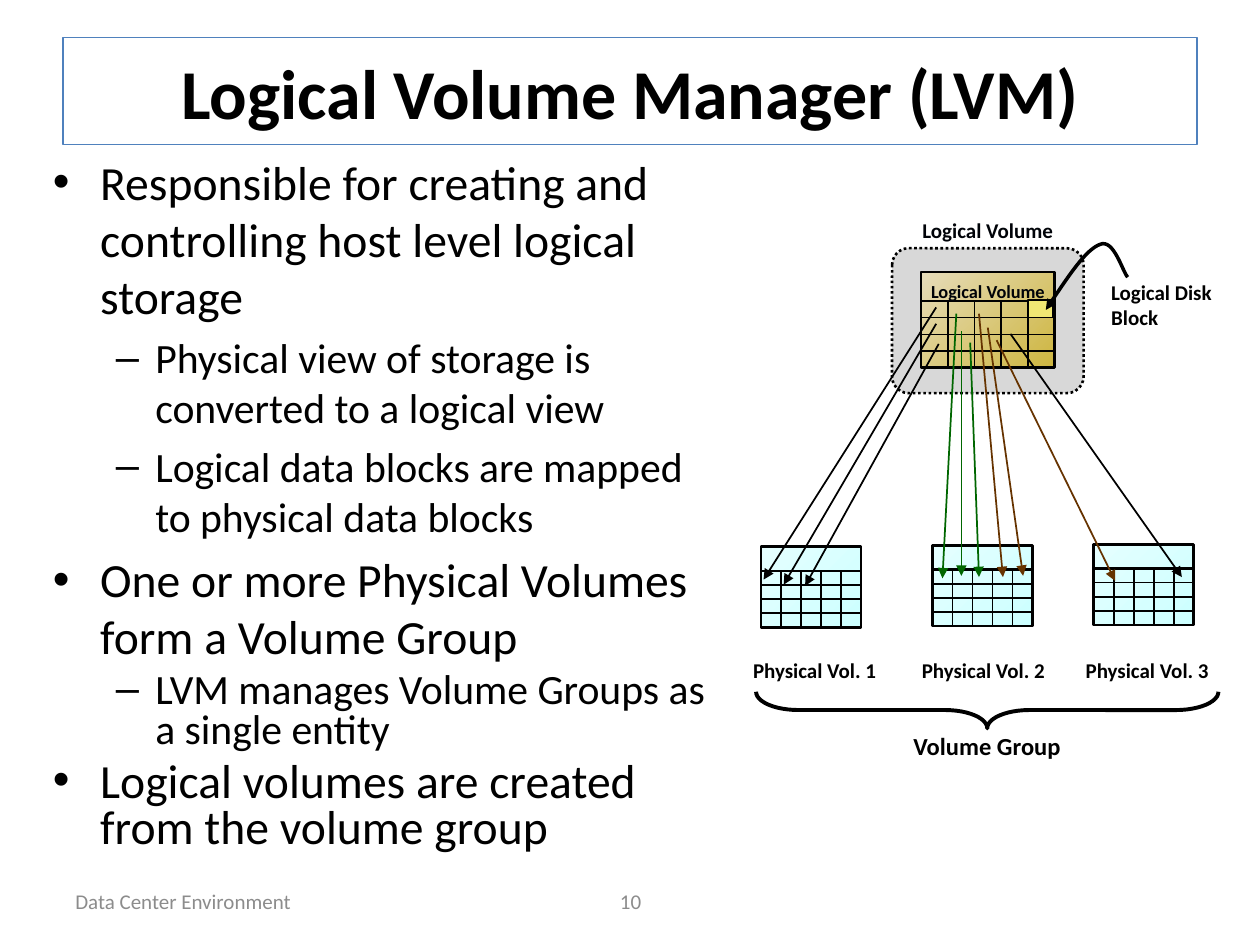
import dataclasses

import lxml.etree
import pptx
import pptx.dml.color
import pptx.enum.dml
import pptx.enum.shapes
import pptx.enum.text
import pptx.oxml.ns
import pptx.util

COLUMNS, ROWS = 100, 75
SHAPE = pptx.enum.shapes.MSO_SHAPE
ALIGN = pptx.enum.text.PP_ALIGN
ANCHOR = pptx.enum.text.MSO_ANCHOR
FIT = pptx.enum.text.MSO_AUTO_SIZE


@dataclasses.dataclass(frozen=True)
class Theme:
    font: str = "Calibri"
    ink: str = "000000"
    label_ink: str = "000308"
    muted: str = "8C8C8C"
    title_line: str = "4F81BD"
    panel: str = "B2B2B2"
    block: str = "F0E774"
    green: str = "006600"
    brown: str = "663300"
    disk: tuple = ("E5FFFF", "CCFFFF")
    volume: tuple = ("E6DCBA", "CEB640")
    title_size: float = 40
    list_sizes: tuple = (27.2, 23.8)
    group_size: float = 14
    label_size: float = 12
    inner_size: float = 10.5
    thin: float = 1
    medium: float = 1.5
    thick: float = 2
    brace: float = 2.25


THEME = Theme()


@dataclasses.dataclass(frozen=True)
class Box:
    """An area in columns and rows of the page grid."""
    left: float
    top: float
    width: float
    height: float

    def inside(self, left, top, width, height):
        return Box(self.left + left, self.top + top, width, height)

    def point(self, x, y):
        return (round((self.left + x) * SLIDE_WIDTH / COLUMNS),
                round((self.top + y) * SLIDE_HEIGHT / ROWS))

    def frame(self):
        left, top = self.point(0, 0)
        right, bottom = self.point(self.width, self.height)
        return left, top, right - left, bottom - top


SLIDE_WIDTH, SLIDE_HEIGHT = pptx.util.Inches(10), pptx.util.Inches(7.5)


def rgb(value):
    return pptx.dml.color.RGBColor.from_string(value)


def set_line(item, color, width):
    item.line.color.rgb = rgb(color)
    item.line.width = pptx.util.Pt(width)


def add_arrowhead(item, end):
    line = item._element.xpath(".//a:ln")[0]
    lxml.etree.SubElement(line, pptx.oxml.ns.qn("a:" + end), type="triangle")


def set_font(para, size, color, bold=False):
    for span in para.runs:
        span.font.name = THEME.font
        span.font.size = pptx.util.Pt(size)
        span.font.bold = bold
        span.font.color.rgb = rgb(color)


def add_shape(shapes, kind, box, width, fill=None):
    """Draw a black-lined shape; a pair of colours makes a diagonal gradient."""
    shape = shapes.add_shape(kind, *box.frame())
    shape.shadow.inherit = False
    if fill is None:
        shape.fill.background()
    elif isinstance(fill, tuple):
        shape.fill.gradient()
        shape.fill.gradient_angle = 315
        for position, (stop, color) in enumerate(zip(shape.fill.gradient_stops, fill)):
            stop.position = position
            stop.color.rgb = rgb(color)
    else:
        shape.fill.solid()
        shape.fill.fore_color.rgb = rgb(fill)
    set_line(shape, THEME.ink, width)
    return shape


def add_line(shapes, start, end, width, color=THEME.ink):
    line = shapes.add_connector(pptx.enum.shapes.MSO_CONNECTOR.STRAIGHT, *start, *end)
    set_line(line, color, width)
    lxml.etree.SubElement(line._element.spPr, pptx.oxml.ns.qn("a:effectLst"))
    return line


def add_label(page, box, text, size, color=THEME.ink, bold=True, align=ALIGN.LEFT,
              anchor=ANCHOR.TOP, wrap=False, tight=False):
    frame = page.shapes.add_textbox(*box.frame()).text_frame
    frame.text = text
    frame.word_wrap = wrap
    frame.auto_size = FIT.SHAPE_TO_FIT_TEXT if bold else FIT.NONE
    frame.vertical_anchor = anchor
    para = frame.paragraphs[0]
    para.alignment = align
    set_font(para, size, color, bold)
    if tight:
        frame.margin_left = frame.margin_right = frame.margin_top = frame.margin_bottom = 0
        para.line_spacing = 0.9


def place(holder, box):
    holder.left, holder.top, holder.width, holder.height = box.frame()
    holder.text_frame.auto_size = FIT.NONE


def draw_title(page, box):
    title = page.shapes.title
    place(title, box)
    set_line(title, THEME.title_line, 0.75)
    title.text_frame.text = "Logical Volume Manager (LVM)"
    title.text_frame.vertical_anchor = ANCHOR.MIDDLE
    para = title.text_frame.paragraphs[0]
    para.alignment = ALIGN.CENTER
    set_font(para, THEME.title_size, THEME.ink, bold=True)


def draw_list(page, box):
    items = [
        (0, "Responsible for creating and controlling host level logical storage", 1.0),
        (1, "Physical view of storage is converted to a logical view", 1.0),
        (1, "Logical data blocks are mapped to physical data blocks", 1.0),
        (0, "One or more Physical Volumes form a Volume Group", 1.0),
        (1, "LVM manages Volume Groups as a single entity", 0.8),
        (0, "Logical volumes are created from the volume group", 0.8),
    ]
    body = page.placeholders[1]
    place(body, box)
    frame = body.text_frame
    for index, (level, text, spacing) in enumerate(items):
        para = frame.add_paragraph() if index else frame.paragraphs[0]
        para.text = text
        para.level = level
        para.line_spacing = spacing
        set_font(para, THEME.list_sizes[level], THEME.ink)
    frame.paragraphs[0].space_before = pptx.util.Pt(0)


def draw_footer(page, box):
    for left, width, text, align in [(0, 23.3, "Data Center Environment", ALIGN.LEFT),
                                     (29.2, 31.7, "10", ALIGN.CENTER)]:
        add_label(page, box.inside(left, 0, width, box.height), text, THEME.label_size,
                  THEME.muted, bold=False, align=align, anchor=ANCHOR.MIDDLE, wrap=True)


def draw_volume(shapes, box, fill, columns=5, rows=4):
    """Draw a volume: a header band above a grid of blocks."""
    add_shape(shapes, SHAPE.RECTANGLE, box, THEME.medium, fill)
    header = 0.3 * box.height
    for row in range(rows):
        y = header + row * (box.height - header) / rows
        add_line(shapes, box.point(0, y), box.point(box.width, y),
                 THEME.thin if row else THEME.medium)
    for column in range(1, columns):
        x = column * box.width / columns
        add_line(shapes, box.point(x, header), box.point(x, box.height), THEME.thin)


def draw_pointer(page, points):
    """Draw a curve through cubic segments, with an arrowhead at its start."""
    builder = page.shapes.build_freeform(*points[0], scale=1.0)
    builder.add_line_segments(points[1:], close=False)
    curve = builder.convert_to_shape()
    steps = curve._element.xpath(".//a:lnTo")
    outline = steps[0].getparent()
    for first in range(0, len(steps), 3):
        bend = lxml.etree.SubElement(outline, pptx.oxml.ns.qn("a:cubicBezTo"))
        for step in steps[first:first + 3]:
            bend.append(step[0])
            outline.remove(step)
    curve.shadow.inherit = False
    curve.fill.background()
    set_line(curve, THEME.ink, THEME.thick)
    add_arrowhead(curve, "headEnd")


def draw_logical_volume(page, box):
    panel = add_shape(page.shapes, SHAPE.ROUNDED_RECTANGLE, box, THEME.medium, THEME.panel)
    panel.adjustments[0] = 0.115
    panel.line.dash_style = pptx.enum.dml.MSO_LINE.ROUND_DOT
    tint = panel._element.spPr.xpath("./a:solidFill/a:srgbClr")[0]
    lxml.etree.SubElement(tint, pptx.oxml.ns.qn("a:alpha"), val="50000")
    draw_volume(page.shapes, box.inside(2.3, 1.9, 10.6, 7.6), THEME.volume)
    add_label(page, box.inside(2.3, -2.2, 10.6, 1.8), "Logical Volume", THEME.label_size,
              THEME.label_ink, align=ALIGN.CENTER, tight=True)
    add_label(page, box.inside(3.1, 2.7, 9.3, 1.6), "Logical Volume", THEME.inner_size,
              THEME.label_ink, tight=True)
    add_shape(page.shapes, SHAPE.RECTANGLE, box.inside(10.8, 4.1, 2, 1.4), THEME.thin, THEME.block)
    draw_pointer(page, [box.point(*spot) for spot in [
        (12.2, 4.9), (13.8, 2.5), (15.4, 0.1), (16.5, -0.3),
        (17.6, -0.8), (18.3, 1.9), (18.7, 2.3)]])
    add_label(page, box.inside(16.4, 2, 11.8, 5), "Logical Disk Block", THEME.label_size, wrap=True)


def draw_volume_group(page, box):
    for number, (left, top) in enumerate([(1.7, 0.2), (15.3, 0.1), (28.1, 0)], 1):
        group = page.shapes.add_group_shape()
        draw_volume(group.shapes, box.inside(left, top, 7.95, 6.4), THEME.disk)
    for number, left in enumerate([0, 13.4, 26.4], 1):
        add_label(page, box.inside(left, 8.5, 11.9, 3), f"Physical Vol. {number}",
                  THEME.label_size, align=ALIGN.CENTER)
    brace = add_shape(page.shapes, SHAPE.RIGHT_BRACE, box.inside(18.2, -5.2, 2.9, 36.7), THEME.brace)
    brace.rotation = 90
    brace.adjustments[0] = 1.158
    add_label(page, box.inside(12.8, 14.3, 13.8, 3.4), "Volume Group", THEME.group_size,
              anchor=ANCHOR.MIDDLE)


def draw_mapping(page, box):
    """Draw the arrows from logical blocks to physical blocks."""
    arrows = {
        THEME.ink: [(16.3, 7.4, 2.6, 29), (16.3, 8.7, 4.2, 29.4),
                    (16.5, 10.3, 5.9, 29.5), (22.2, 9.5, 35.8, 28.8)],
        THEME.green: [(18.3, 9.3, 18.3, 28.7), (17.9, 7.9, 16.8, 28.9), (19, 10.2, 19.7, 28.8)],
        THEME.brown: [(19.7, 7.9, 21.6, 28.8), (20.4, 9, 23.2, 28.7), (21.1, 10, 30.5, 29.1)],
    }
    for color, spans in arrows.items():
        for x1, y1, x2, y2 in spans:
            arrow = add_line(page.shapes, box.point(x1, y1), box.point(x2, y2), THEME.thin, color)
            add_arrowhead(arrow, "tailEnd")


def draw_diagram(page, box):
    draw_volume_group(page, box.inside(0.7, 26.2, 39.3, 17.8))
    draw_logical_volume(page, box.inside(12.8, 2.7, 15.2, 11.5))
    draw_mapping(page, box)


def main():
    deck = pptx.Presentation()
    deck.slide_width, deck.slide_height = SLIDE_WIDTH, SLIDE_HEIGHT
    page = deck.slides.add_slide(deck.slide_layouts[1])
    draw_title(page, Box(5, 3, 90, 8.5))
    draw_list(page, Box(3.2, 11.6, 55.1, 56.7))
    draw_footer(page, Box(5, 69.5, 90, 4))
    draw_diagram(page, Box(58, 17, 40, 44))
    deck.save("out.pptx")


if __name__ == "__main__":
    main()
